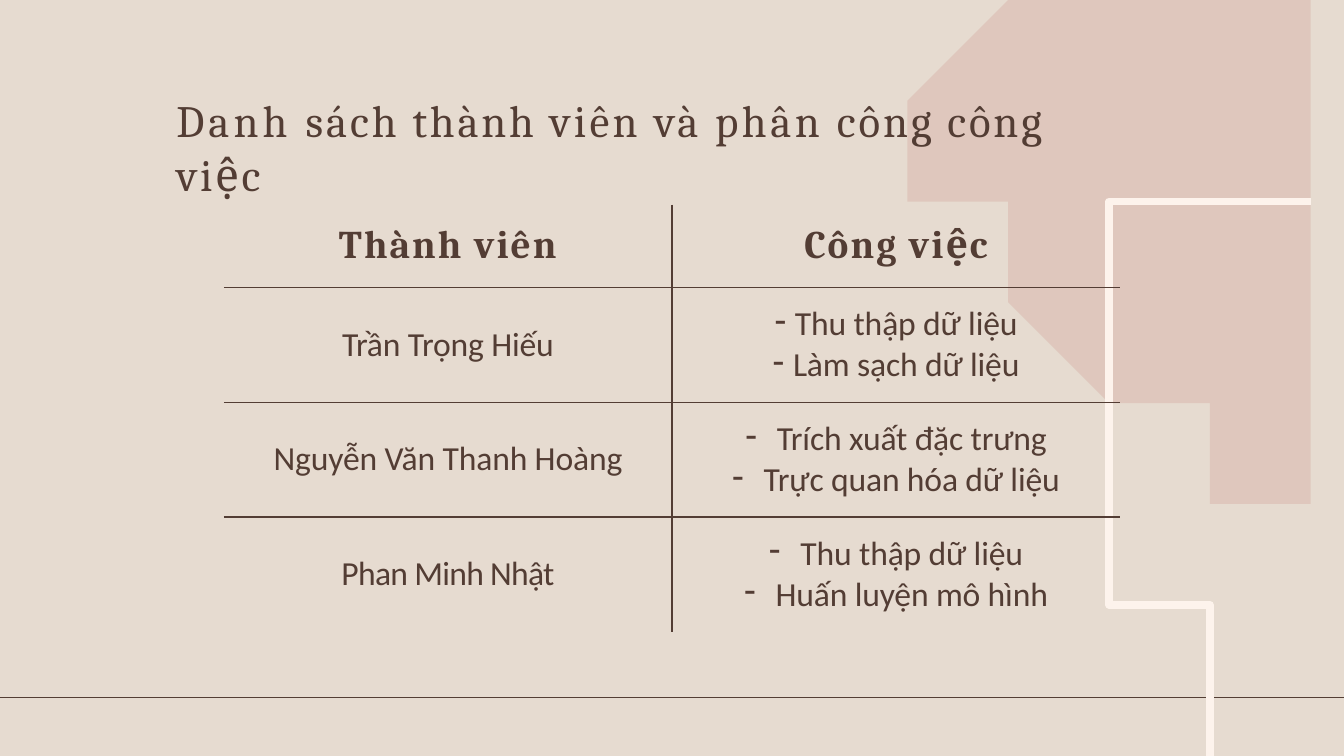
from lxml import etree
from pptx import Presentation
from pptx.dml.color import RGBColor
from pptx.enum.shapes import MSO_CONNECTOR
from pptx.enum.text import MSO_ANCHOR, PP_ALIGN
from pptx.oxml.ns import qn
from pptx.util import Inches, Pt

LINE = MSO_CONNECTOR.STRAIGHT
TOP, MIDDLE = MSO_ANCHOR.TOP, MSO_ANCHOR.MIDDLE
LEFT, CENTER = PP_ALIGN.LEFT, PP_ALIGN.CENTER
HEX = {"sand": "E6DBD0", "brown": "533D34", "rose": "CF9B92", "cream": "FDF3EC"}
RGB = {name: RGBColor.from_string(code) for name, code in HEX.items()}
WIDE, HIGH = 13.33, 7.5


def add_run(para, text, font, size, bold=False, gap=0):
    run = para.add_run()
    run.text = text
    run.font.name, run.font.size, run.font.bold = font, Pt(size), bold
    run.font.color.rgb = RGB["brown"]
    run._r.get_or_add_rPr().set("spc", str(round(gap * 100)))


def smooth(knots, steps=8):
    """Return points on a smooth curve that runs through all knots."""
    ends = [knots[0], *knots, knots[-1]]
    curve = [knots[0]]
    for a, b, c, d in zip(ends, ends[1:], ends[2:], ends[3:]):
        for i in range(1, steps + 1):
            t = i / steps
            curve.append(tuple(
                (2 * q + (r - p) * t + (2 * p - 5 * q + 4 * r - s) * t**2
                 + (3 * q - p - 3 * r + s) * t**3) / 2
                for p, q, r, s in zip(a, b, c, d)))
    return curve


deck = Presentation()
deck.slide_width, deck.slide_height = Inches(WIDE), Inches(HIGH)
slide = deck.slides.add_slide(deck.slide_layouts[5])
shapes = slide.shapes
slide.background.fill.solid()
slide.background.fill.fore_color.rgb = RGB["sand"]

# Line along the foot
foot = shapes.add_connector(LINE, 0, Inches(6.92), Inches(WIDE), Inches(6.92))
foot.line.color.rgb = RGB["brown"]
foot.line.width = Pt(1.25)
etree.SubElement(foot._element.spPr, qn("a:effectLst"))

# Rose blob and cream curve
edge = smooth([(9.67, 0), (9.53, 0.36), (9.46, 0.82), (9.46, 1.25), (9.53, 1.81),
               (9.67, 2.29), (9.87, 2.72), (10.12, 3.11), (10.47, 3.49),
               (10.92, 3.86), (11.46, 4.2), (12.08, 4.53), (12.74, 4.84),
               (WIDE, 5.11)]) + [(WIDE, 0)]
sweep = smooth([(12.14, 7.5), (11.91, 7.15), (11.65, 6.66), (11.38, 6.06),
                (11.13, 5.46), (10.94, 4.94), (10.82, 4.5), (10.77, 4.08),
                (10.78, 3.68), (10.86, 3.32), (11.04, 2.9), (11.25, 2.58),
                (11.53, 2.26), (11.8, 2.05), (12.11, 1.9), (12.48, 1.84),
                (12.83, 1.9), (13.09, 2), (WIDE, 2.14)])
arts = []
for points, closed in ((edge, True), (sweep, False)):
    pen = shapes.build_freeform(*points[0], scale=Inches(1))
    pen.add_line_segments(points[1:], close=closed)
    art = pen.convert_to_shape()
    art.shadow.inherit = False
    arts.append(art)
blob, curve = arts
blob.fill.solid()
blob.fill.fore_color.rgb = RGB["rose"]
tint = blob._element.spPr.find(qn("a:solidFill"))[0]
etree.SubElement(tint, qn("a:alpha"), val="30000")
blob.line.fill.background()
curve.fill.background()
curve.line.color.rgb = RGB["cream"]
curve.line.width = Pt(5.5)

# Title, in front of the blob
title = shapes.title
title.element.getparent().append(title.element)
title.left, title.top = Inches(1.75), Inches(0.91)
title.width, title.height = Inches(9.54), Inches(0.56)
frame = title.text_frame
frame.margin_left = frame.margin_right = frame.margin_bottom = 0
frame.margin_top = Inches(0.01)
frame.vertical_anchor, frame.word_wrap = TOP, True
head = frame.paragraphs[0]
head.alignment, head.space_before = LEFT, Pt(1.1)
for text, gap in (("Danh ", 2.9), ("sách ", 2.1), ("thành ", 2), ("viên ", 2.3),
                  ("và ", 2.4), ("phân ", 2.5), ("công công ", 2.1), ("việc", 1.8)):
    add_run(head, text, "Cambria", 32, gap=gap)

# Table: member, tasks, bullet indent
rows = [
    ("Thành viên", ["Công việc"], 0),
    ("Trần Trọng Hiếu", ["Thu thập dữ liệu", "Làm sạch dữ liệu"], 0.2),
    ("Nguyễn Văn Thanh Hoàng", ["Trích xuất đặc trưng", "Trực quan hóa dữ liệu"], 0.31),
    ("Phan Minh Nhật", ["Thu thập dữ liệu", "Huấn luyện mô hình"], 0.31),
]
table = shapes.add_table(len(rows), 2, Inches(2.22), Inches(2.03),
                         Inches(8.89), Inches(4.23)).table
table.first_row = table.horz_banding = False
for y, (name, tasks, indent) in enumerate(rows):
    table.rows[y].height = Inches(1.14 if y else 0.82)
    for x, lines in enumerate(([name], tasks)):
        cell = table.cell(y, x)
        cell.vertical_anchor = MIDDLE
        cell.margin_left = cell.margin_right = 0
        cell.margin_top = cell.margin_bottom = 0

        # Only the inner borders show
        props = cell._tc.get_or_add_tcPr()
        inner = {"L": x == 1, "R": x == 0, "T": y > 0, "B": y < len(rows) - 1}
        for side, shown in inner.items():
            border = etree.SubElement(props, qn("a:ln" + side), w=str(Pt(1)))
            if shown:
                paint = etree.SubElement(border, qn("a:solidFill"))
                etree.SubElement(paint, qn("a:srgbClr"), val=HEX["brown"])
            else:
                etree.SubElement(border, qn("a:noFill"))
        cell.fill.background()

        for i, text in enumerate(lines):
            body = cell.text_frame
            para = body.add_paragraph() if i else body.paragraphs[0]
            para.alignment = CENTER
            if y and x:
                dash = para._p.get_or_add_pPr()
                dash.set("marL", str(Inches(indent)))
                dash.set("indent", str(-Inches(indent)))
                etree.SubElement(dash, qn("a:buChar"), char="-")
            if y:
                gap = -0.5 if name.startswith("Phan") and not x else -0.1
                add_run(para, text, "Calibri", 24, gap=gap)
            else:
                add_run(para, text, "Cambria", 28, True, 1.5)

deck.save("out.pptx")
